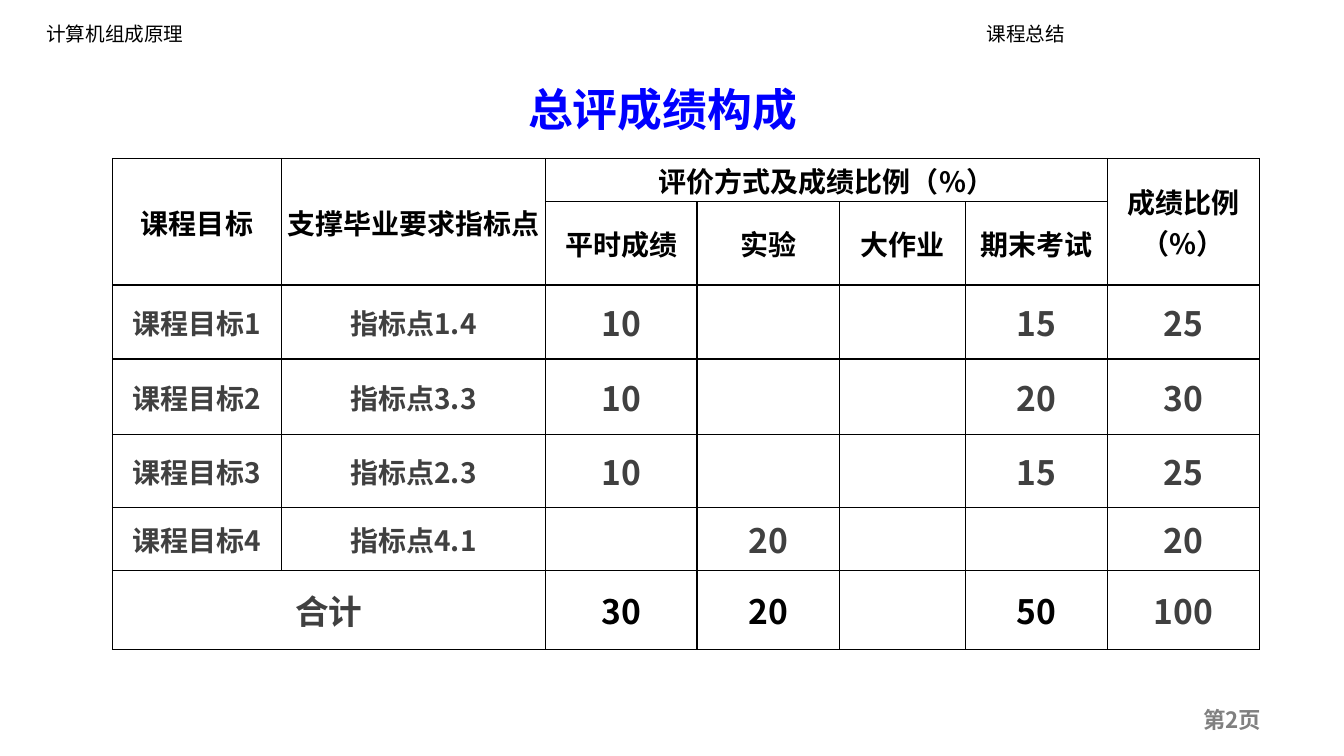
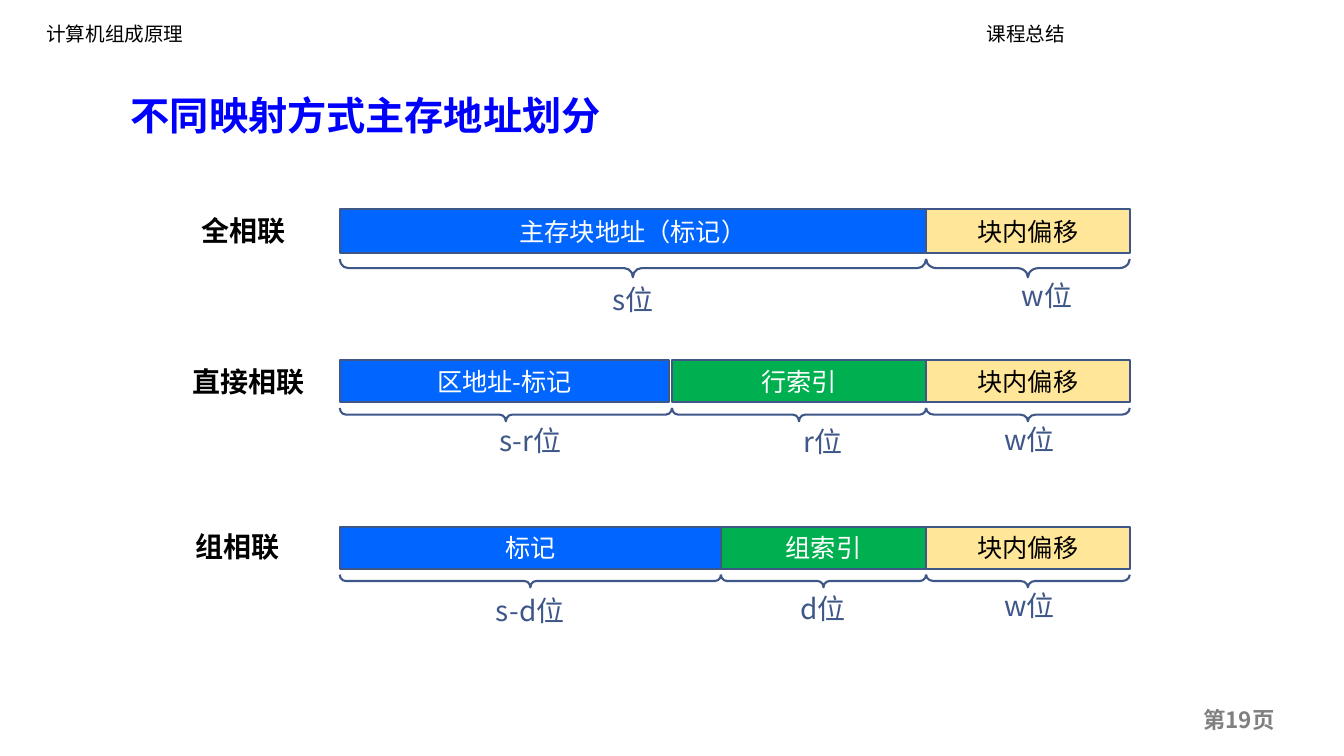
from lxml import etree
from pptx import Presentation
from pptx import util as u
from pptx.dml.color import RGBColor
from pptx.enum import shapes, text
from pptx.oxml import ns

Pt = u.Pt
CJK = "Noto Sans CJK SC"
BLACK, WHITE, GREY, DARK = "000000", "FFFFFF", "808080", "404040"
TITLE_BLUE, BLUE, GREEN, SAND, OUTLINE = "0000FF", "0066FF", "00B050", "FFE699", "3E5788"
LEFT, CENTER = text.PP_ALIGN.LEFT, text.PP_ALIGN.CENTER
TOP, MIDDLE = text.MSO_ANCHOR.TOP, text.MSO_ANCHOR.MIDDLE
INSETS = (7.2, 3.6)

HEADERS = [("计算机组成原理", 25.9), ("课程总结", 697.6)]

GRADES = [
    ["课程目标", "支撑毕业要求指标点", "评价方式及成绩比例（%）", "", "", "", "成绩比例（%）"],
    ["", "", "平时成绩", "实验", "大作业", "期末考试", ""],
    ["课程目标1", "指标点1.4", "10", "", "", "15", "25"],
    ["课程目标2", "指标点3.3", "10", "", "", "20", "30"],
    ["课程目标3", "指标点2.3", "10", "", "", "15", "25"],
    ["课程目标4", "指标点4.1", "", "20", "", "", "20"],
    ["合计", "", "30", "20", "", "50", "100"],
]
SPANS = [((0, 0), (1, 0)), ((0, 1), (1, 1)), ((0, 2), (0, 5)),
         ((0, 6), (1, 6)), ((6, 0), (6, 1))]
COL_WIDTHS = [120.7, 188.5, 108.3, 101.8, 90, 101.4, 108.6]
ROW_HEIGHTS = [31, 59, 52.8, 54.2, 51.8, 45.2, 56.3]

BAR_LEFT, OFFSET_LEFT, BAR_RIGHT = 242.7, 661.5, 807
COLOURS = {"tag": (BLUE, WHITE, 0.47), "index": (GREEN, WHITE, 0.47), "offset": (SAND, BLACK, 0.58)}
MAPPINGS = [
    dict(name="全相联", name_at=(137, 149), top=149.5, height=31, gap=4.5, brace=13, fields=[
        ("tag", "主存块地址（标记）", BAR_LEFT, OFFSET_LEFT, "s位", (452, 213.8)),
        ("offset", "块内偏移", OFFSET_LEFT, BAR_RIGHT, "w位", (748, 210.8))]),
    dict(name="直接相联", name_at=(130.4, 257), top=257.2, height=30, gap=4.2, brace=9.5, fields=[
        ("tag", "区地址-标记", BAR_LEFT, 478, "s-r位", (378.8, 314.8)),
        ("index", "行索引", 480, OFFSET_LEFT, "r位", (588.2, 315)),
        ("offset", "块内偏移", OFFSET_LEFT, BAR_RIGHT, "w位", (735.5, 313.5))]),
    dict(name="组相联", name_at=(132.5, 374.5), top=376.3, height=30, gap=4.2, brace=9, fields=[
        ("tag", "标记", BAR_LEFT, 515, "s-d位", (378.8, 435.6)),
        ("index", "组索引", 515, OFFSET_LEFT, "d位", (588, 434.8)),
        ("offset", "块内偏移", OFFSET_LEFT, BAR_RIGHT, "w位", (735.5, 432.5))]),
]


def rgb(value):
    return RGBColor.from_string(value)


def write(tf, words, size, colour, bold=False, align=LEFT, font=CJK):
    p = tf.paragraphs[0]
    p.alignment = align
    r = p.add_run()
    r.text = words
    for key, value in dict(size=Pt(size), bold=bold, name=font).items():
        setattr(r.font, key, value)
    r.font.color.rgb = rgb(colour)
    ea = etree.SubElement(r.font._element, ns.qn("a:ea"))
    ea.set("typeface", CJK)
    return p


def set_frame(tf, anchor=TOP, insets=INSETS):
    x, y = map(Pt, insets)
    values = dict(word_wrap=True, auto_size=text.MSO_AUTO_SIZE.NONE, vertical_anchor=anchor,
                  margin_left=x, margin_right=x, margin_top=y, margin_bottom=y)
    for key, value in values.items():
        setattr(tf, key, value)
    return tf


def set_fill(sp, colour):
    if colour:
        sp.fill.solid()
        sp.fill.fore_color.rgb = rgb(colour)
    else:
        sp.fill.background()


def add_text(s, words, box, size, colour, anchor=TOP, insets=INSETS, **style):
    sp = s.shapes.add_textbox(*map(Pt, box))
    write(set_frame(sp.text_frame, anchor, insets), words, size, colour, **style)


def add_outlined(s, preset, box, fill=None):
    sp = s.shapes.add_shape(preset, *map(Pt, box))
    sp.shadow.inherit = False
    set_fill(sp, fill)
    sp.line.color.rgb = rgb(OUTLINE)
    sp.line.width = Pt(1.5)
    return sp


def add_slide(prs, title, box, size, page, align=LEFT, font=CJK, fill=None):
    s = prs.slides.add_slide(prs.slide_layouts[5])
    sp = s.shapes.title
    for key, value in zip(("left", "top", "width", "height"), box):
        setattr(sp, key, Pt(value))
    set_fill(sp, fill)
    p = write(set_frame(sp.text_frame, MIDDLE), title, size, TITLE_BLUE, True, align, font)
    p.line_spacing = 1.2
    for words, left in HEADERS:
        add_text(s, words, (left, 12, 200, 28), 14, BLACK, font="Arial")
    add_text(s, f"第{page}页", (852.5, 500.5, 90, 27), 16, GREY, bold=True)
    return s


def add_borders(cell):
    tc_pr = cell._tc.get_or_add_tcPr()
    for side in ("lnL", "lnR", "lnT", "lnB"):
        ln = etree.SubElement(tc_pr, ns.qn(f"a:{side}"), w=str(Pt(1)))
        fill = etree.SubElement(ln, ns.qn("a:solidFill"))
        etree.SubElement(fill, ns.qn("a:srgbClr"), val=BLACK)


def grade_style(row, col):
    if row < 2:
        return 20, BLACK
    if row == len(GRADES) - 1:
        return 24, BLACK if 2 <= col <= 5 else DARK
    return (20 if col < 2 else 24), DARK


def add_grades(s):
    box = (80.4, 113.2, sum(COL_WIDTHS), sum(ROW_HEIGHTS))
    table = s.shapes.add_table(len(GRADES), len(COL_WIDTHS), *map(Pt, box)).table
    table.first_row = table.horz_banding = False
    for column, width in zip(table.columns, COL_WIDTHS):
        column.width = Pt(width)
    for row, height in zip(table.rows, ROW_HEIGHTS):
        row.height = Pt(height)
    for first, last in SPANS:
        table.cell(*first).merge(table.cell(*last))
    for i, line in enumerate(GRADES):
        for j, words in enumerate(line):
            cell = table.cell(i, j)
            add_borders(cell)
            cell.fill.background()
            values = dict(vertical_anchor=MIDDLE, margin_left=Pt(3), margin_right=Pt(3),
                          margin_top=Pt(0.7), margin_bottom=Pt(0.7))
            for key, value in values.items():
                setattr(cell, key, value)
            if words:
                write(cell.text_frame, words, *grade_style(i, j), bold=True, align=CENTER)


def add_mapping(s, name, name_at, top, height, gap, brace, fields):
    add_text(s, name, (*name_at, 102, 31.5), 20, BLACK, bold=True)
    brace_y = top + height + gap + brace / 2
    brace_ends = [field[2] for field in fields[1:]] + [BAR_RIGHT]
    for (kind, words, left, right, bits, (x, y)), end in zip(fields, brace_ends):
        fill, colour, curl = COLOURS[kind]
        sp = add_outlined(s, shapes.MSO_SHAPE.RECTANGLE, (left, top, right - left, height), fill)
        write(set_frame(sp.text_frame, MIDDLE, (0, 0)), words, 18, colour, align=CENTER)
        span = end - left
        box = ((left + end - brace) / 2, brace_y - span / 2, brace, span)
        sp = add_outlined(s, shapes.MSO_SHAPE.LEFT_BRACE, box)
        sp.rotation = 270
        sp.adjustments[0] = curl
        add_text(s, bits, (x - 40, y - 9, 80, 18), 20, OUTLINE, MIDDLE, (0, 0), align=CENTER)


def main():
    prs = Presentation()
    prs.slide_width, prs.slide_height = Pt(960), Pt(540)
    s = add_slide(prs, "总评成绩构成", (148.3, 34, 650, 79), 32, 2, CENTER, "Arial", WHITE)
    add_grades(s)
    s = add_slide(prs, "不同映射方式主存地址划分", (86.2, 39.5, 416, 78.5), 28, 19)
    for mapping in MAPPINGS:
        add_mapping(s, **mapping)
    prs.save("out.pptx")


if __name__ == "__main__":
    main()
